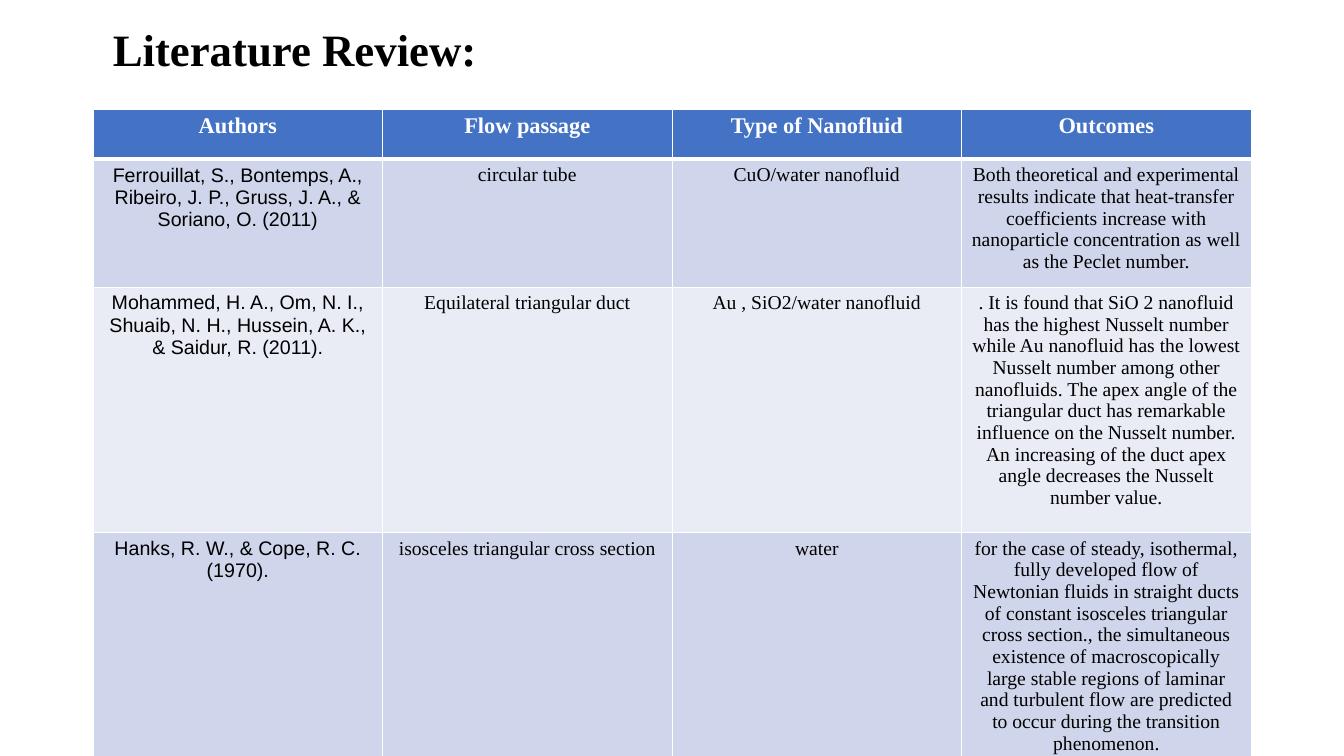
import pptx
import pptx.util
import pptx.dml.color
import pptx.enum.text
import pptx.oxml
import pptx.oxml.ns

Pt = pptx.util.Pt
RGBColor = pptx.dml.color.RGBColor
PP_ALIGN = pptx.enum.text.PP_ALIGN

BLACK = RGBColor(0x00, 0x00, 0x00)
WHITE = RGBColor(0xFF, 0xFF, 0xFF)
HEADER_BLUE = RGBColor(0x44, 0x72, 0xC4)
BAND_DARK = RGBColor(0xCF, 0xD5, 0xEA)
BAND_LIGHT = RGBColor(0xE9, 0xEB, 0xF5)
SERIF = "Times New Roman"
SANS = "Arial"

COLUMN_WIDTH = 206.8
ROW_HEIGHTS = [36, 84, 162, 162]
ROWS = [
    ["Authors", "Flow passage", "Type of Nanofluid", "Outcomes"],
    [
        "Ferrouillat, S., Bontemps, A., Ribeiro, J. P., Gruss, J. A., & Soriano, O. (2011)",
        "circular tube",
        "CuO/water nanofluid",
        "Both theoretical and experimental results indicate that heat-transfer "
        "coefficients increase with nanoparticle concentration as well as the "
        "Peclet number.",
    ],
    [
        "Mohammed, H. A., Om, N. I., Shuaib, N. H., Hussein, A. K., & Saidur, R. (2011).",
        "Equilateral triangular duct",
        "Au , SiO2/water nanofluid",
        ". It is found that SiO 2 nanofluid has the highest Nusselt number while "
        "Au nanofluid has the lowest Nusselt number among other nanofluids. The "
        "apex angle of the triangular duct has remarkable influence on the Nusselt "
        "number. An increasing of the duct apex angle decreases the Nusselt number "
        "value.",
    ],
    [
        "Hanks, R. W., & Cope, R. C. (1970).",
        "isosceles triangular cross section",
        "water",
        "for the case of steady, isothermal, fully developed flow of Newtonian "
        "fluids in straight ducts of constant isosceles triangular cross section., "
        "the simultaneous existence of macroscopically large stable regions of "
        "laminar and turbulent flow are predicted to occur during the transition "
        "phenomenon.",
    ],
]


def write_text(frame, text, size=14, font=SERIF, color=BLACK, bold=False,
               align=PP_ALIGN.CENTER, line_spacing=None):
    para = frame.paragraphs[0]
    para.alignment = align
    para.line_spacing = line_spacing
    span = para.add_run()
    span.text = text
    span.font.size = Pt(size)
    span.font.name = font
    span.font.bold = bold
    span.font.color.rgb = color


def set_borders(cell, **widths):
    properties = cell._tc.get_or_add_tcPr()
    for position, side in enumerate(["L", "R", "T", "B"]):
        line = pptx.oxml.parse_xml(
            f'<a:ln{side} {pptx.oxml.ns.nsdecls("a")} w="{Pt(widths.get(side, 1))}">'
            f'<a:solidFill><a:srgbClr val="{WHITE}"/></a:solidFill></a:ln{side}>'
        )
        properties.insert(position, line)


deck = pptx.Presentation()
deck.slide_width = Pt(960)
deck.slide_height = Pt(540)
page = deck.slides.add_slide(deck.slide_layouts[6])

title_box = page.shapes.add_textbox(Pt(73.5), Pt(18), Pt(776), Pt(38))
title_box.text_frame.word_wrap = True
title_box.text_frame.vertical_anchor = pptx.enum.text.MSO_ANCHOR.MIDDLE
write_text(title_box.text_frame, "Literature Review:", size=32, bold=True,
           align=PP_ALIGN.LEFT, line_spacing=0.9)

review_frame = page.shapes.add_table(
    len(ROWS), len(ROWS[0]), Pt(66.5), Pt(77.8),
    Pt(COLUMN_WIDTH * len(ROWS[0])), Pt(sum(ROW_HEIGHTS)))
review = review_frame.table
for column in review.columns:
    column.width = Pt(COLUMN_WIDTH)

for row_index, texts in enumerate(ROWS):
    review.rows[row_index].height = Pt(ROW_HEIGHTS[row_index])
    is_header = row_index == 0
    band = BAND_DARK if row_index % 2 else BAND_LIGHT
    for column_index, text in enumerate(texts):
        cell = review.cell(row_index, column_index)
        cell.fill.solid()
        cell.fill.fore_color.rgb = HEADER_BLUE if is_header else band
        set_borders(cell, T=3 if row_index == 1 else 1, B=3 if is_header else 1)
        if is_header:
            write_text(cell.text_frame, text, size=16, color=WHITE, bold=True)
        else:
            write_text(cell.text_frame, text, font=SERIF if column_index else SANS)

deck.save("out.pptx")
